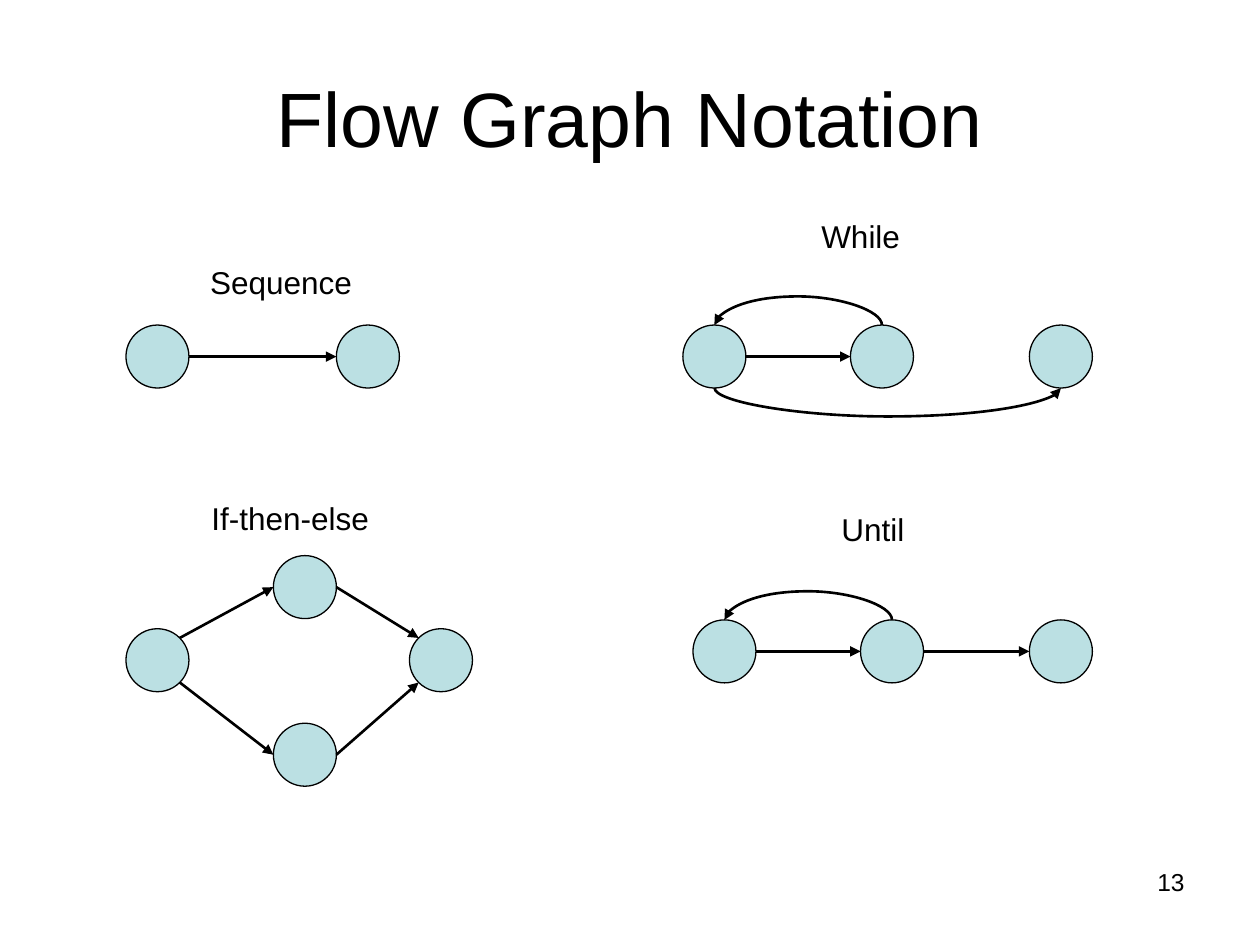
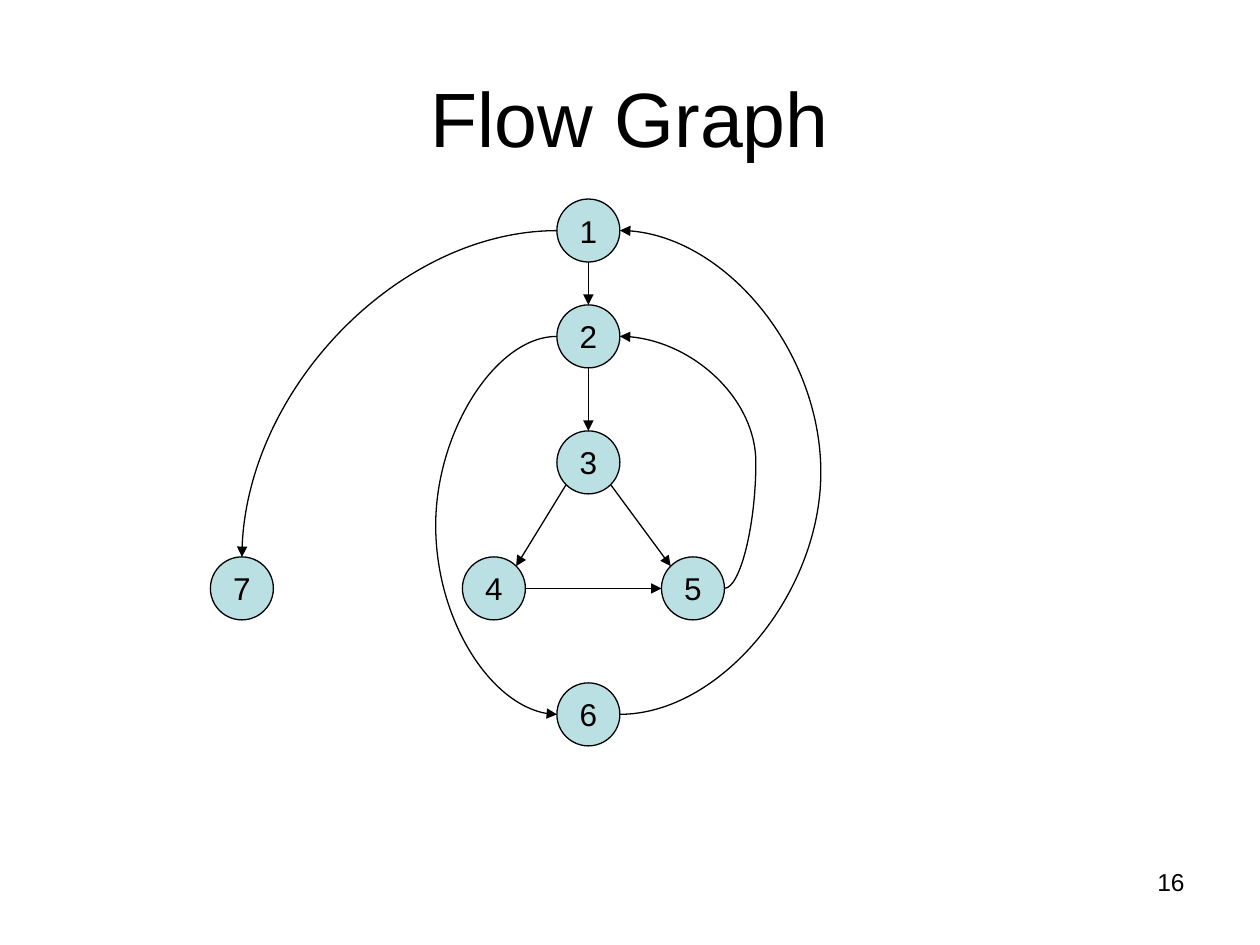
import math

import pptx
import pptx.util
import pptx.dml.color
import pptx.enum.shapes
import pptx.enum.text
import pptx.oxml.ns
from lxml import etree

Inches, Pt = pptx.util.Inches, pptx.util.Pt
qn = pptx.oxml.ns.qn
SHAPE = pptx.enum.shapes.MSO_SHAPE
CONNECTOR = pptx.enum.shapes.MSO_CONNECTOR
ALIGN = pptx.enum.text.PP_ALIGN
ANCHOR = pptx.enum.text.MSO_ANCHOR
AUTO_SIZE = pptx.enum.text.MSO_AUTO_SIZE

# Shared look
COLORS = {"ink": "000000", "node": "BBE0E3"}
FONT = "Arial"
NODE = 0.5
THIN = 1588 / 914400  # smallest connector extent, in inches
# Connection sites of an ellipse, counterclockwise from the top
TOP, TOP_LEFT, LEFT, BOTTOM_LEFT, BOTTOM, BOTTOM_RIGHT, RIGHT, TOP_RIGHT = range(8)

# Content. nodes: name -> left, top; lines: from, site, to, site
# curves: from, site, to, site, rotation, flips, reach (None for a quarter turn)
SLIDES = [
    {
        "title": "Flow Graph Notation", "number": "13",
        "show_names": False, "line_width": 1.5,
        "nodes": {
            "seq1": (1, 2.58), "seq2": (2.67, 2.58),
            "if": (1, 4.99), "then": (2.17, 4.41),
            "else": (2.17, 5.74), "endif": (3.25, 4.99),
            "while": (5.42, 2.58), "body": (6.75, 2.58), "done": (8.17, 2.58),
            "repeat": (5.5, 4.92), "until": (6.83, 4.92), "exit": (8.17, 4.92),
        },
        "lines": [
            ("seq1", RIGHT, "seq2", LEFT),
            ("while", RIGHT, "body", LEFT),
            ("if", TOP_RIGHT, "then", LEFT),
            ("if", BOTTOM_RIGHT, "else", LEFT),
            ("then", RIGHT, "endif", TOP_LEFT),
            ("else", RIGHT, "endif", BOTTOM_LEFT),
            ("repeat", RIGHT, "until", LEFT),
            ("until", RIGHT, "exit", LEFT),
        ],
        "curves": [
            ("body", TOP, "while", TOP, 270, "HV", -0.25),
            ("while", BOTTOM, "done", BOTTOM, 270, "H", 0.25),
            ("until", TOP, "repeat", TOP, 270, "HV", -0.25),
        ],
        "labels": [
            ("Sequence", 1.57, 2.04, 1.33), ("If-then-else", 1.58, 3.91, 1.45),
            ("While", 6.42, 1.67, 0.83), ("Until", 6.58, 4, 0.7),
        ],
    },
    {
        "title": "Flow Graph", "number": "16",
        "show_names": True, "line_width": 0.75,
        "nodes": {
            "1": (4.42, 1.58), "2": (4.42, 2.42), "3": (4.42, 3.42),
            "4": (3.67, 4.42), "5": (5.25, 4.42), "6": (4.42, 5.42),
            "7": (1.67, 4.42),
        },
        "lines": [
            ("1", BOTTOM, "2", TOP),
            ("2", BOTTOM, "3", TOP),
            ("3", BOTTOM_LEFT, "4", TOP_RIGHT),
            ("3", BOTTOM_RIGHT, "5", TOP_LEFT),
            ("4", RIGHT, "5", LEFT),
        ],
        "curves": [
            ("5", RIGHT, "2", RIGHT, 0, "HV", -0.25),
            ("2", LEFT, "6", LEFT, 180, "HV", -1.06),
            ("6", RIGHT, "1", RIGHT, 0, "V", 1.76),
            ("1", LEFT, "7", TOP, 180, "V", None),
        ],
        "labels": [],
    },
]


def color(name):
    return pptx.dml.color.RGBColor.from_string(COLORS[name])


def put_text(shape, text, size=18, align=ALIGN.LEFT, anchor=ANCHOR.TOP, wrap=True, grow=False):
    tf = shape.text_frame
    tf.word_wrap = wrap
    tf.vertical_anchor = anchor
    if grow:
        tf.auto_size = AUTO_SIZE.SHAPE_TO_FIT_TEXT
    p = tf.paragraphs[0]
    p.alignment = align
    r = p.add_run()
    r.text = text
    r.font.name = FONT
    r.font.size = Pt(size)
    r.font.color.rgb = color("ink")


def add_text(s, text, left, top, width, height, **fmt):
    box = s.shapes.add_textbox(Inches(left), Inches(top), Inches(width), Inches(height))
    put_text(box, text, **fmt)


def add_node(s, left, top, name=None):
    sp = s.shapes.add_shape(SHAPE.OVAL, Inches(left), Inches(top), Inches(NODE), Inches(NODE))
    sp.shadow.inherit = False
    sp.fill.solid()
    sp.fill.fore_color.rgb = color("node")
    sp.line.color.rgb = color("ink")
    sp.line.width = Pt(0.75)
    if name:
        put_text(sp, name, align=ALIGN.CENTER, anchor=ANCHOR.MIDDLE, wrap=False)
    return sp


def site_point(corner, site):
    angle = math.radians(45 * site)
    radius = NODE / 2
    return (corner[0] + radius - radius * math.sin(angle),
            corner[1] + radius - radius * math.cos(angle))


def finish_connector(c, start, start_site, end, end_site, width):
    """Join both ends to their nodes and style the arrow."""
    joints = c._element.find(".//" + qn("p:cNvCxnSpPr"))
    for tag, node, site in (("a:stCxn", start, start_site), ("a:endCxn", end, end_site)):
        etree.SubElement(joints, qn(tag), id=str(node.shape_id), idx=str(site))
    c.line.color.rgb = color("ink")
    c.line.width = Pt(width)
    etree.SubElement(c.line._get_or_add_ln(), qn("a:tailEnd"), type="triangle")
    etree.SubElement(c._element.spPr, qn("a:effectLst"))


def add_line(s, p, q):
    return s.shapes.add_connector(CONNECTOR.STRAIGHT, *(Inches(v) for v in (*p, *q)))


def add_curve(s, p, q, rotation, flips, reach):
    width, height = abs(q[0] - p[0]), abs(q[1] - p[1])
    if rotation == 270:
        width, height = height, width
    width = max(width, THIN)
    c = s.shapes.add_connector(CONNECTOR.CURVE, 0, 0, 0, 0)
    c.left = Inches((p[0] + q[0] - width) / 2)
    c.top = Inches((p[1] + q[1] - height) / 2)
    c.width, c.height = Inches(width), Inches(height)
    xfrm = c._element.spPr.find(qn("a:xfrm"))
    xfrm.set("rot", str(rotation * 60000))
    for axis in flips:
        xfrm.set("flip" + axis, "1")
    geom = c._element.spPr.find(qn("a:prstGeom"))
    if reach is None:
        geom.set("prst", "curvedConnector2")
    else:
        guides = geom.find(qn("a:avLst"))
        if guides is None:
            guides = etree.SubElement(geom, qn("a:avLst"))
        etree.SubElement(guides, qn("a:gd"), name="adj1",
                         fmla=f"val {round(reach / width * 100000)}")
    return c


def build_slide(prs, data):
    s = prs.slides.add_slide(prs.slide_layouts[6])
    add_text(s, data["title"], 0.5, 0.3, 9, 1.25,
             size=44, align=ALIGN.CENTER, anchor=ANCHOR.MIDDLE)
    # Nodes
    corners = data["nodes"]
    nodes = {name: add_node(s, *corner, name if data["show_names"] else None)
             for name, corner in corners.items()}
    # Arrows
    for draw, arrows in ((add_curve, data["curves"]), (add_line, data["lines"])):
        for a, a_site, b, b_site, *bend in arrows:
            c = draw(s, site_point(corners[a], a_site), site_point(corners[b], b_site), *bend)
            finish_connector(c, nodes[a], a_site, nodes[b], b_site, data["line_width"])
    # Labels and page number
    for text, left, top, width in data["labels"]:
        add_text(s, text, left, top, width, 0.4, wrap=False, grow=True)
    add_text(s, data["number"], 7.17, 6.83, 2.33, 0.52, size=14, align=ALIGN.RIGHT)


def main():
    prs = pptx.Presentation()
    prs.slide_width, prs.slide_height = Inches(10), Inches(7.5)
    for data in SLIDES:
        build_slide(prs, data)
    prs.save("out.pptx")


if __name__ == "__main__":
    main()
